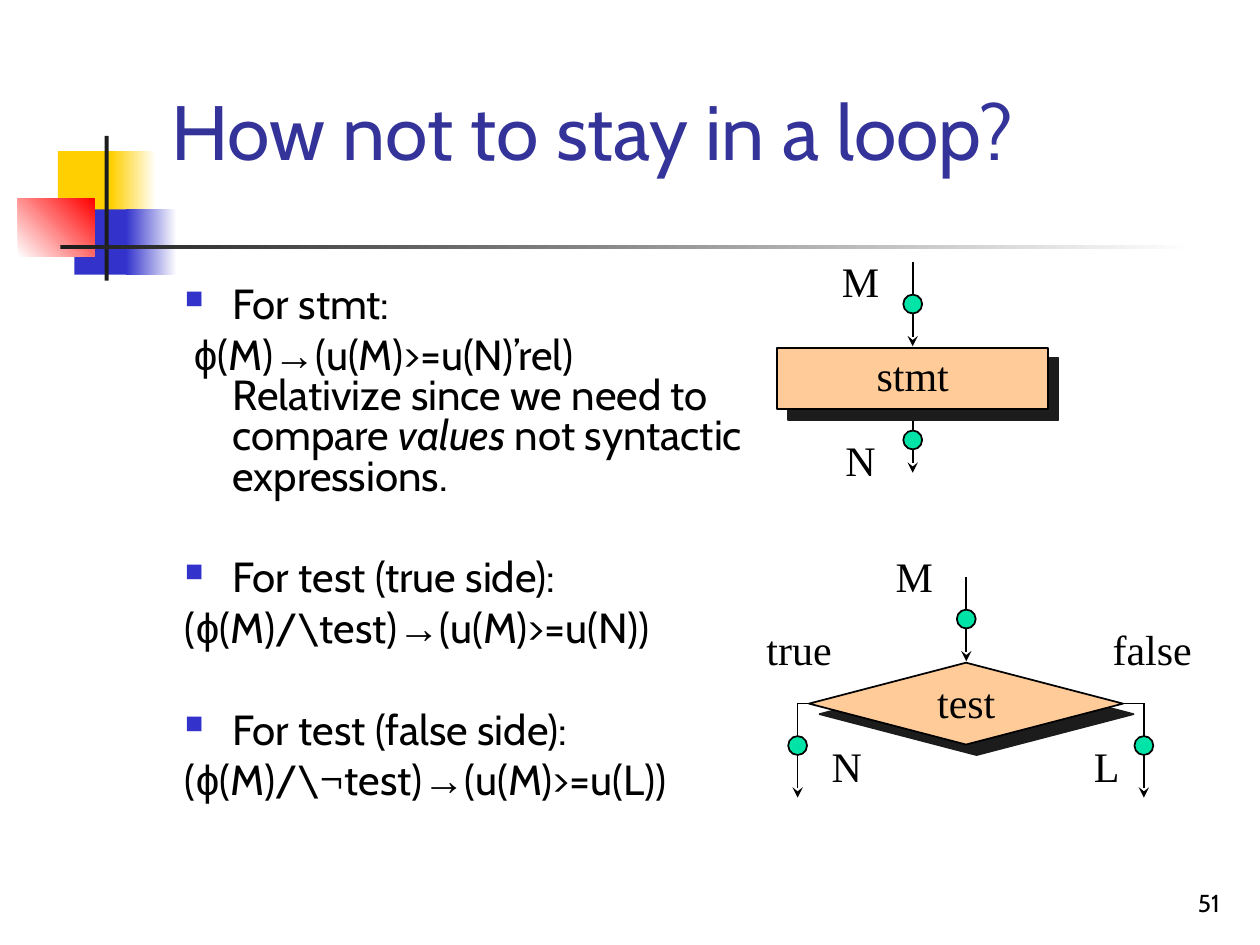
import itertools
from dataclasses import dataclass

import pptx
import pptx.dml.color
import pptx.enum.shapes
import pptx.enum.text
import pptx.oxml
import pptx.oxml.ns
import pptx.util

Cm = pptx.util.Cm
Pt = pptx.util.Pt
Shapes = pptx.enum.shapes.MSO_SHAPE
Align = pptx.enum.text.PP_ALIGN
Anchor = pptx.enum.text.MSO_ANCHOR


@dataclass(frozen=True)
class Theme:
    yellow: str = "FFCF01"
    blue: str = "3333CC"
    red: str = "FF0000"
    white: str = "FFFFFF"
    dark: str = "1C1C1C"
    title: str = "333399"
    text: str = "000000"
    node: str = "FFCC99"
    dot: str = "00E4A8"
    main_font: str = "Cabin"
    symbol_font: str = "Arial"
    diagram_font: str = "Times New Roman"
    title_size: int = 44
    body_size: int = 24
    number_size: int = 14


THEME = Theme()
SYMBOLS = "ϕ→"
DOT_SIZE = 0.38
LABEL_HEIGHT = 1.27


def rgb(value):
    return pptx.dml.color.RGBColor.from_string(value)


def append_xml(parent, tag, attributes, inner=""):
    namespace = pptx.oxml.ns.nsdecls("a")
    parent.append(pptx.oxml.parse_xml(f"<a:{tag} {namespace} {attributes}>{inner}</a:{tag}>"))


def style_font(font, name, size, color):
    font.name, font.size = name, Pt(size)
    font.color.rgb = rgb(color)


def add_text_box(slide, left, top, width, height, anchor=Anchor.TOP, wrap=True):
    frame = slide.shapes.add_textbox(Cm(left), Cm(top), Cm(width), Cm(height)).text_frame
    frame.word_wrap = wrap
    frame.vertical_anchor = anchor
    return frame


def add_line_of_text(frame, text, alignment, name, size, color):
    frame.text = text
    paragraph = frame.paragraphs[0]
    paragraph.alignment = alignment
    style_font(paragraph.runs[0].font, name, size, color)


def add_filled(slide, preset, left, top, width, height, color, outlined=False):
    shape = slide.shapes.add_shape(preset, Cm(left), Cm(top), Cm(width), Cm(height))
    shape.shadow.inherit = False
    shape.fill.solid()
    shape.fill.fore_color.rgb = rgb(color)
    if outlined:
        shape.line.color.rgb = rgb(THEME.text)
        shape.line.width = Pt(1)
    else:
        shape.line.fill.background()
    return shape


def add_gradient(slide, left, top, width, height, start, end, angle=0):
    shape = add_filled(slide, Shapes.RECTANGLE, left, top, width, height, start)
    shape.fill.gradient()
    shape.fill.gradient_angle = angle
    for stop, color in zip(shape.fill.gradient_stops, (start, end)):
        stop.color.rgb = rgb(color)


def add_node(slide, preset, left, top, width, height):
    shape = add_filled(slide, preset, left, top, width, height, THEME.node, outlined=True)
    effects = shape._element.spPr.find(pptx.oxml.ns.qn("a:effectLst"))
    append_xml(effects, "outerShdw", f'dist="{Pt(8.5)}" dir="2700000" algn="ctr" rotWithShape="0"',
               f'<a:srgbClr val="{THEME.dark}"/>')


def add_line(slide, start_x, start_y, end_x, end_y, arrow=False):
    line = slide.shapes.add_connector(pptx.enum.shapes.MSO_CONNECTOR.STRAIGHT,
                                      Cm(start_x), Cm(start_y), Cm(end_x), Cm(end_y))
    line.line.color.rgb = rgb(THEME.text)
    line.line.width = Pt(1)
    if arrow:
        append_xml(line.line._get_or_add_ln(), "tailEnd", 'type="stealth"')
    append_xml(line._element.spPr, "effectLst", "")


def add_dotted_arrow(slide, x, top, length, dot_offset=0.85):
    add_line(slide, x, top, x, top + length, arrow=True)
    add_filled(slide, Shapes.OVAL, x - DOT_SIZE / 2, top + dot_offset - DOT_SIZE / 2,
               DOT_SIZE, DOT_SIZE, THEME.dot, outlined=True)


def add_label(slide, text, center, top, width):
    frame = add_text_box(slide, center - width / 2, top, width, LABEL_HEIGHT, wrap=False)
    add_line_of_text(frame, text, Align.CENTER, THEME.diagram_font, THEME.body_size, THEME.text)


def add_corner_ornament(slide, left, top):
    for x, y, width, fade_x, fade_width, color in (
        (0.81, 0.31, 1.22, 1.88, 0.91, THEME.yellow),
        (1.14, 1.48, 1.17, 2.18, 1.02, THEME.blue),
    ):
        add_filled(slide, Shapes.RECTANGLE, left + x, top + y, width, 1.32, color)
        add_gradient(slide, left + fade_x, top + y, fade_width, 1.32, color, THEME.white)
    add_gradient(slide, left, top + 1.27, 1.55, 1.17, THEME.white, THEME.red, 45)
    add_filled(slide, Shapes.RECTANGLE, left + 1.75, top, 0.08, 2.92, THEME.dark)
    add_gradient(slide, left + 0.86, top + 2.2, 22.86, 0.09, THEME.dark, THEME.white)


def add_title(slide, left, top, width, height):
    frame = add_text_box(slide, left, top, width, height, Anchor.MIDDLE)
    add_line_of_text(frame, "How not to stay in a loop?", Align.LEFT,
                     THEME.main_font, THEME.title_size, THEME.title)


def add_page_number(slide, left, top, width, height):
    frame = add_text_box(slide, left, top, width, height, Anchor.BOTTOM)
    add_line_of_text(frame, "51", Align.RIGHT, THEME.main_font, THEME.number_size, THEME.text)


def format_body_paragraph(paragraph, space_before, indent, bulleted):
    paragraph.line_spacing = 0.8
    paragraph.space_before = Pt(space_before)
    properties = paragraph._p.get_or_add_pPr()
    properties.set("marL", str(Cm(0.96)))
    properties.set("indent", str(Cm(indent)))
    if bulleted:
        append_xml(properties, "buClr", "", f'<a:srgbClr val="{THEME.blue}"/>')
        append_xml(properties, "buSzPct", 'val="60000"')
        append_xml(properties, "buChar", 'char="■"')


def add_body_runs(paragraph, text, italic=False):
    for is_symbol, characters in itertools.groupby(text, lambda character: character in SYMBOLS):
        run = paragraph.add_run()
        run.text = "".join(characters)
        name = THEME.symbol_font if is_symbol else THEME.main_font
        style_font(run.font, name, THEME.body_size, THEME.text)
        run.font.italic = italic


def add_conditions(slide, left, top, width, height):
    frame = add_text_box(slide, left, top, width, height)
    sections = (
        ("For stmt:", "ϕ(M)→(u(M)>=u(N)’rel)", 0, -0.78),
        ("For test (true side):", "(ϕ(M)/\\test)→(u(M)>=u(N))", 35, -0.96),
        ("For test (false side):", "(ϕ(M)/\\¬test)→(u(M)>=u(L))", 35, -0.96),
    )
    for index, (heading, formula, gap, indent) in enumerate(sections):
        paragraph = frame.add_paragraph() if index else frame.paragraphs[0]
        format_body_paragraph(paragraph, gap, -0.96, True)
        add_body_runs(paragraph, heading)
        paragraph = frame.add_paragraph()
        format_body_paragraph(paragraph, 6, indent, False)
        add_body_runs(paragraph, formula)
        if index == 0:
            paragraph.add_line_break()
            add_body_runs(paragraph, "Relativize since we need to compare ")
            add_body_runs(paragraph, "values", italic=True)
            add_body_runs(paragraph, " not syntactic expressions.")


def add_statement_diagram(slide, left, top, width):
    center = left + width / 2
    add_dotted_arrow(slide, center, top + 3.22, 1.28, 0.62)
    add_node(slide, Shapes.RECTANGLE, left, top + 1.98, width, 1.24)
    add_dotted_arrow(slide, center, top + 0.25, 1.7)
    add_label(slide, "stmt", center, top + 1.9, 1.98)
    add_label(slide, "M", center - 1.05, top, 1.27)
    add_label(slide, "N", center - 1.05, top + 3.6, 1.12)


def add_test_diagram(slide, left, top, width):
    center = left + 4.29
    middle = top + 3.21
    add_node(slide, Shapes.DIAMOND, left + 1.12, top + 2.39, 6.33, 1.65)
    add_dotted_arrow(slide, center, top + 0.66, 1.7)
    for corner, branch in ((1.12, 0.89), (7.45, 7.87)):
        add_line(slide, left + corner, middle, left + branch, middle)
        add_dotted_arrow(slide, left + branch, middle, 1.9)
    add_label(slide, "test", center, top + 2.54, 1.7)
    add_label(slide, "M", center - 1.05, top, 1.27)
    add_label(slide, "true", left + 0.92, top + 1.48, 1.83)
    add_label(slide, "false", left + width - 1.05, top + 1.48, 2.11)
    add_label(slide, "N", left + 1.88, top + 3.84, 1.12)
    add_label(slide, "L", left + 7.12, top + 3.84, 1.04)


def main():
    presentation = pptx.Presentation()
    presentation.slide_width, presentation.slide_height = Cm(25.4), Cm(19.05)
    slide = presentation.slides.add_slide(presentation.slide_layouts[6])
    add_corner_ornament(slide, 0.36, 2.74)
    add_page_number(slide, 19.56, 17.35, 5.28, 1.27)
    add_title(slide, 3.2, 0.58, 21.64, 4.06)
    add_conditions(slide, 3.48, 5.66, 12.07, 11.28)
    add_statement_diagram(slide, 15.67, 5.03, 5.46)
    add_test_diagram(slide, 15.19, 10.97, 9.09)
    presentation.save("out.pptx")


if __name__ == "__main__":
    main()
